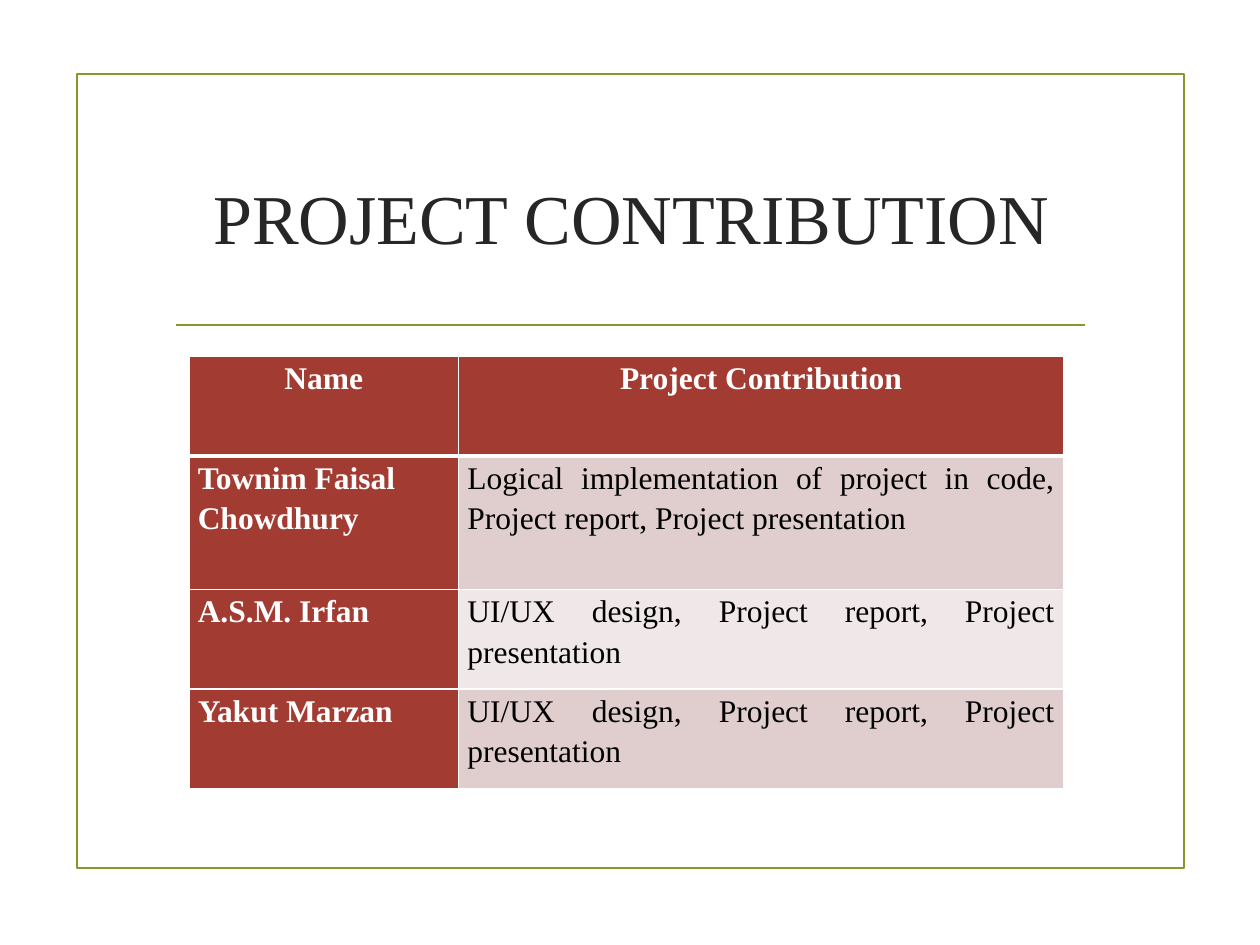
from dataclasses import dataclass

from lxml import etree
from pptx import Presentation
from pptx.dml.color import RGBColor
from pptx.enum.shapes import MSO_CONNECTOR, MSO_SHAPE
from pptx.enum.text import MSO_ANCHOR, MSO_AUTO_SIZE, PP_ALIGN
from pptx.oxml.ns import qn
from pptx.util import Inches, Pt

CENTER, LEFT, JUSTIFY = PP_ALIGN.CENTER, PP_ALIGN.LEFT, PP_ALIGN.JUSTIFY
MIDDLE, NO_AUTOFIT = MSO_ANCHOR.MIDDLE, MSO_AUTO_SIZE.NONE
RECTANGLE, STRAIGHT = MSO_SHAPE.RECTANGLE, MSO_CONNECTOR.STRAIGHT

OLIVE = RGBColor(0x83, 0x99, 0x2A)
CHARCOAL = RGBColor(0x26, 0x26, 0x26)
BRICK = RGBColor(0xA2, 0x3C, 0x33)
ROSE = RGBColor(0xE0, 0xCE, 0xCE)
PALE_ROSE = RGBColor(0xF0, 0xE8, 0xE8)
WHITE = RGBColor(0xFF, 0xFF, 0xFF)
BLACK = RGBColor(0, 0, 0)

FONT = "Times New Roman"
SLIDE_WIDTH, SLIDE_HEIGHT = Inches(10), Inches(7.5)
COLUMN_WIDTHS = (Inches(2.14), Inches(4.8))
ROW_HEIGHT, TALL_ROW_HEIGHT = Inches(0.79), Inches(1.06)
THIN, THICK = Pt(1), Pt(3)


@dataclass(frozen=True)
class Contribution:
    member: str
    work: str
    height: int = ROW_HEIGHT
    member_align: PP_ALIGN = JUSTIFY


@dataclass(frozen=True)
class CellStyle:
    fill: RGBColor
    color: RGBColor
    bold: bool
    align: PP_ALIGN


DESIGN_WORK = "UI/UX design, Project report, Project presentation"
CONTRIBUTIONS = (
    Contribution(
        "Townim Faisal Chowdhury",
        "Logical implementation of project in code, Project report, Project presentation",
        TALL_ROW_HEIGHT,
        LEFT,
    ),
    Contribution("A.S.M. Irfan", DESIGN_WORK),
    Contribution("Yakut Marzan", DESIGN_WORK),
)


def set_all(target, values: dict) -> None:
    for attribute, value in values.items():
        setattr(target, attribute, value)


def format_paragraph(paragraph, size: int, color: RGBColor, bold: bool, align: PP_ALIGN) -> None:
    paragraph.alignment = align
    set_all(paragraph.font, {"name": FONT, "size": Pt(size), "bold": bold})
    paragraph.font.color.rgb = color


def style_line(line) -> None:
    line.color.rgb = OLIVE
    line.width = Pt(1.25)


def draw_frame(slide) -> None:
    frame = slide.shapes.add_shape(
        RECTANGLE, Inches(0.61), Inches(0.59), Inches(8.79), Inches(6.3))
    frame.shadow.inherit = False
    frame.fill.background()
    style_line(frame.line)


def draw_divider(slide) -> None:
    y = Inches(2.58)
    divider = slide.shapes.add_connector(STRAIGHT, Inches(1.4), y, Inches(8.61), y)
    style_line(divider.line)
    etree.SubElement(divider._element.spPr, qn("a:effectLst"))


def write_title(title) -> None:
    set_all(title, {"left": Inches(1.29), "top": Inches(1),
                    "width": Inches(7.44), "height": Inches(1.43)})
    title.text = "PROJECT CONTRIBUTION"
    set_all(title.text_frame, {"word_wrap": True, "auto_size": NO_AUTOFIT,
                               "vertical_anchor": MIDDLE})
    format_paragraph(title.text_frame.paragraphs[0], 40, CHARCOAL, False, CENTER)


def add_borders(cell, top: int, bottom: int) -> None:
    properties = cell._tc.get_or_add_tcPr()
    for side, width in (("L", THIN), ("R", THIN), ("T", top), ("B", bottom)):
        border = etree.SubElement(properties, qn(f"a:ln{side}"), w=str(width))
        fill = etree.SubElement(border, qn("a:solidFill"))
        etree.SubElement(fill, qn("a:srgbClr"), val=str(WHITE))


def fill_cell(cell, text: str, style: CellStyle, top: int, bottom: int) -> None:
    cell.text = text
    set_all(cell, {"margin_left": Inches(0.07), "margin_right": Inches(0.07),
                   "margin_top": 0, "margin_bottom": 0})
    add_borders(cell, top, bottom)
    cell.fill.solid()
    cell.fill.fore_color.rgb = style.fill
    paragraph = cell.text_frame.paragraphs[0]
    format_paragraph(paragraph, 18, style.color, style.bold, style.align)
    paragraph.line_spacing = 1.15


def draw_contributions(slide) -> None:
    heights = [ROW_HEIGHT] + [entry.height for entry in CONTRIBUTIONS]
    table = slide.shapes.add_table(
        len(heights), len(COLUMN_WIDTHS), Inches(1.5), Inches(2.83),
        sum(COLUMN_WIDTHS), sum(heights)).table
    for column, width in zip(table.columns, COLUMN_WIDTHS):
        column.width = width
    for row, height in zip(table.rows, heights):
        row.height = height

    header = CellStyle(BRICK, WHITE, True, CENTER)
    for column, heading in enumerate(("Name", "Project Contribution")):
        fill_cell(table.cell(0, column), heading, header, THIN, THICK)

    for row, entry in enumerate(CONTRIBUTIONS, start=1):
        top = THICK if row == 1 else THIN
        member = CellStyle(BRICK, WHITE, True, entry.member_align)
        work = CellStyle(ROSE if row % 2 else PALE_ROSE, BLACK, False, JUSTIFY)
        fill_cell(table.cell(row, 0), entry.member, member, top, THIN)
        fill_cell(table.cell(row, 1), entry.work, work, top, THIN)


def main() -> None:
    presentation = Presentation()
    set_all(presentation, {"slide_width": SLIDE_WIDTH, "slide_height": SLIDE_HEIGHT})
    title_only = presentation.slide_layouts[5]
    slide = presentation.slides.add_slide(title_only)
    draw_frame(slide)
    draw_divider(slide)
    write_title(slide.shapes.title)
    draw_contributions(slide)
    presentation.save("out.pptx")


if __name__ == "__main__":
    main()
